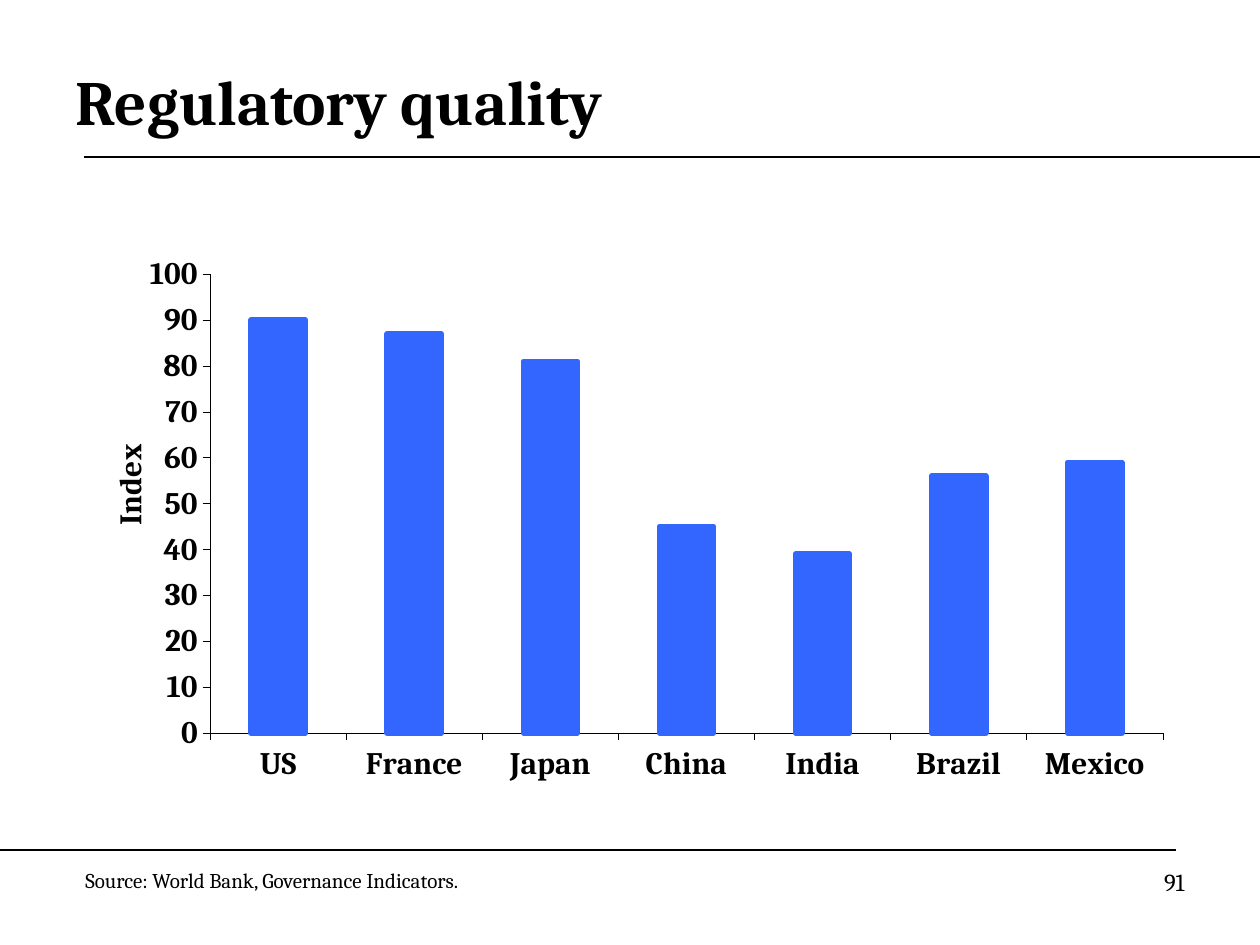
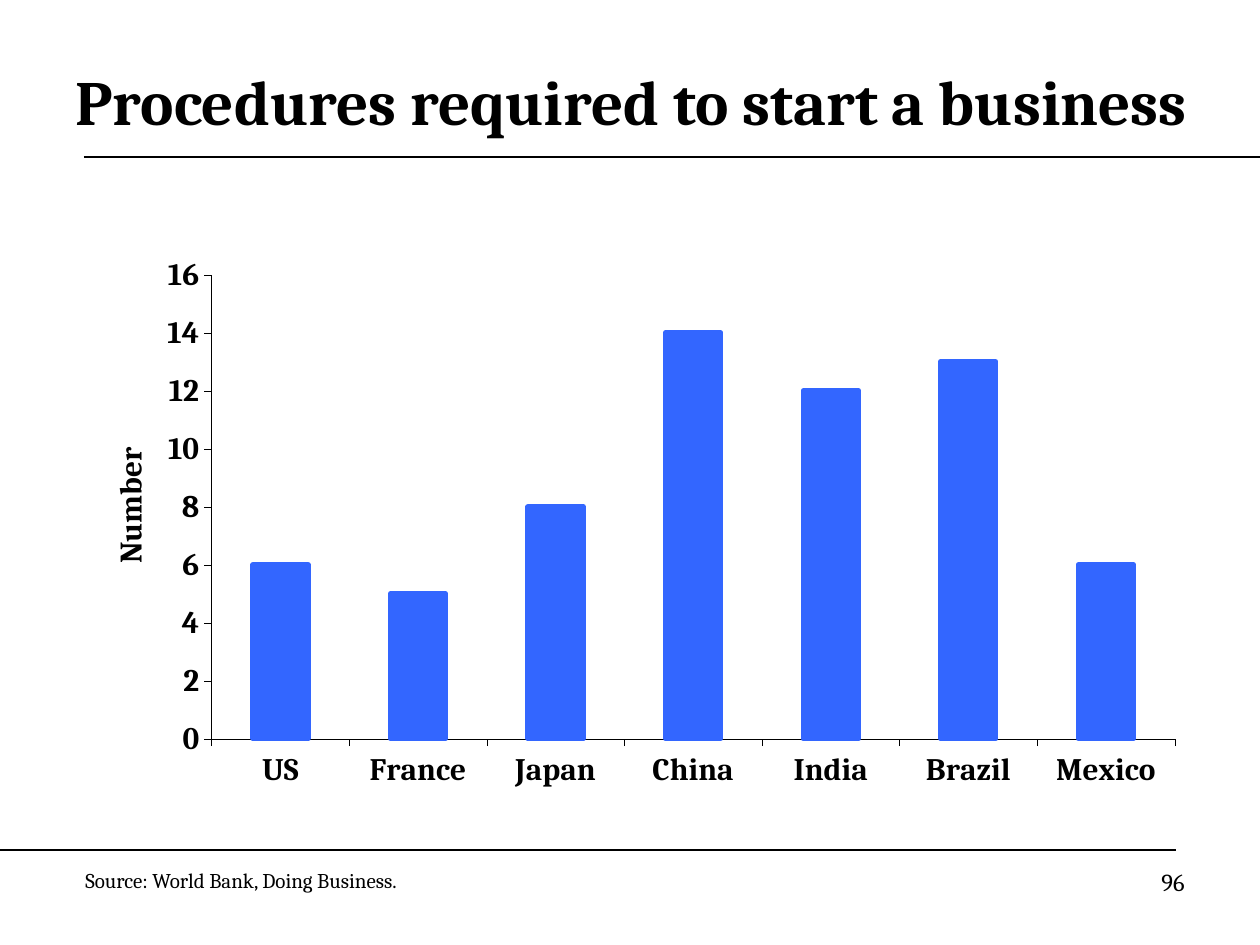
from dataclasses import dataclass

import pptx
import pptx.chart.data
import pptx.dml.color
import pptx.enum.chart
import pptx.enum.shapes
import pptx.enum.text
import pptx.oxml.ns
import pptx.oxml.xmlchemy
import pptx.util

Pt = pptx.util.Pt
RGB = pptx.dml.color.RGBColor
Align = pptx.enum.text.PP_ALIGN
Anchor = pptx.enum.text.MSO_ANCHOR
qn = pptx.oxml.ns.qn
make = pptx.oxml.xmlchemy.OxmlElement


@dataclass(frozen=True)
class Theme:
    font: str = "Cambria"
    ink: RGB = RGB(0, 0, 0)
    bar: RGB = RGB(0x33, 0x66, 0xFF)
    title: float = 36
    chart: float = 17.9
    source: float = 12
    number: float = 14


THEME = Theme()
LANDS = ["US", "France", "Japan", "China", "India", "Brazil", "Mexico"]


def px(count):
    """Turn pixels, 126 to the inch, into EMU."""
    return pptx.util.Emu(round(count * 914400 / 126))


def box(*sides):
    return [px(side) for side in sides]


def style(font, size, bold=False):
    font.name = THEME.font
    font.size = Pt(size)
    font.bold = bold
    font.color.rgb = THEME.ink


def add_title(slide, text, width):
    title = slide.shapes.title
    title.left, title.top, title.width, title.height = box(63, 42, width, 116)
    frame = title.text_frame
    frame.text = text
    frame.word_wrap = True
    frame.auto_size = pptx.enum.text.MSO_AUTO_SIZE.NONE
    frame.vertical_anchor = Anchor.MIDDLE
    line = frame.paragraphs[0]
    line.alignment = Align.LEFT
    style(line.font, THEME.title, bold=True)


def add_rule(slide, left, right, top):
    kind = pptx.enum.shapes.MSO_CONNECTOR.STRAIGHT
    rule = slide.shapes.add_connector(kind, *box(left, top, right, top))
    rule.line.color.rgb = THEME.ink
    rule.line.width = Pt(0.75)
    rule._element.spPr.append(make("a:effectLst"))


def add_note(slide, text, place, size, align=Align.LEFT):
    frame = slide.shapes.add_textbox(*box(*place)).text_frame
    frame.word_wrap = True
    frame.text = text
    line = frame.paragraphs[0]
    line.alignment = align
    style(line.font, size)


def pin(parent, index, **values):
    """Give a chart part a manual layout as the child at index."""
    for old in parent.findall(qn("c:layout")):
        parent.remove(old)
    layout = make("c:layout")
    manual = make("c:manualLayout")
    layout.append(manual)
    for tag, value in values.items():
        item = make("c:" + tag)
        item.set("val", str(value))
        manual.append(item)
    parent.insert(index, layout)


def set_axis(axis):
    axis.has_major_gridlines = False
    axis.major_tick_mark = pptx.enum.chart.XL_TICK_MARK.OUTSIDE
    axis.minor_tick_mark = pptx.enum.chart.XL_TICK_MARK.NONE
    axis.format.line.color.rgb = THEME.ink
    axis.format.line.width = Pt(0.25)
    style(axis.tick_labels.font, THEME.chart, bold=True)


def name_axis(axis, text):
    title = axis.axis_title
    title.text_frame.text = text
    style(title.text_frame.paragraphs[0].font, THEME.chart, bold=True)
    body = title._element.find(".//" + qn("a:bodyPr"))
    body.set("rot", "-5400000")
    body.set("vert", "horz")
    pin(title._element, 1, xMode="edge", yMode="edge", x=0.03, y=0.35)


def add_bars(slide, unit, values, size, top, step):
    data = pptx.chart.data.CategoryChartData()
    data.categories = LANDS
    data.add_series("Series 1", values)
    kind = pptx.enum.chart.XL_CHART_TYPE.COLUMN_CLUSTERED
    chart = slide.shapes.add_chart(kind, *box(70, 228, *size), data).chart
    chart.has_legend = False
    chart.has_title = False
    style(chart.font, THEME.chart, bold=True)

    plot = chart.plots[0]
    plot.gap_width = 150
    plot.vary_by_categories = False
    bars = plot.series[0].format
    bars.fill.solid()
    bars.fill.fore_color.rgb = THEME.bar
    bars.line.color.rgb = THEME.bar
    bars.line.width = Pt(3)

    set_axis(chart.category_axis)
    scale = chart.value_axis
    set_axis(scale)
    scale.minimum_scale, scale.maximum_scale = 0, top
    scale.major_unit = step
    name_axis(scale, unit)
    area = chart._chartSpace.find(".//" + qn("c:plotArea"))
    pin(area, 0, layoutTarget="inner", xMode="edge", yMode="edge",
        x=0.127, y=0.077, w=0.863, h=0.762)


def add_page(deck, title, width, source, number, **bars):
    slide = deck.slides.add_slide(deck.slide_layouts.get_by_name("Title Only"))
    add_rule(slide, 84, 1260, 157)
    add_rule(slide, 0, 1176, 850)
    add_title(slide, title, width)
    add_bars(slide, **bars)
    add_note(slide, source, (73, 861, 609, 38), THEME.source)
    add_note(slide, number, (903, 861, 294, 66), THEME.number, Align.RIGHT)


def main():
    deck = pptx.Presentation()
    deck.slide_width, deck.slide_height = box(1260, 945)
    add_page(deck, "Regulatory quality", 1134,
             "Source: World Bank, Governance Indicators.", "91",
             unit="Index", values=[90, 87, 81, 45, 39, 56, 59],
             size=(1104, 602), top=100, step=10)
    add_page(deck, "Procedures required to start a business", 1144,
             "Source: World Bank, Doing Business.", "96",
             unit="Number", values=[6, 5, 8, 14, 12, 13, 6],
             size=(1116, 609), top=16, step=2)
    deck.save("out.pptx")


if __name__ == "__main__":
    main()
